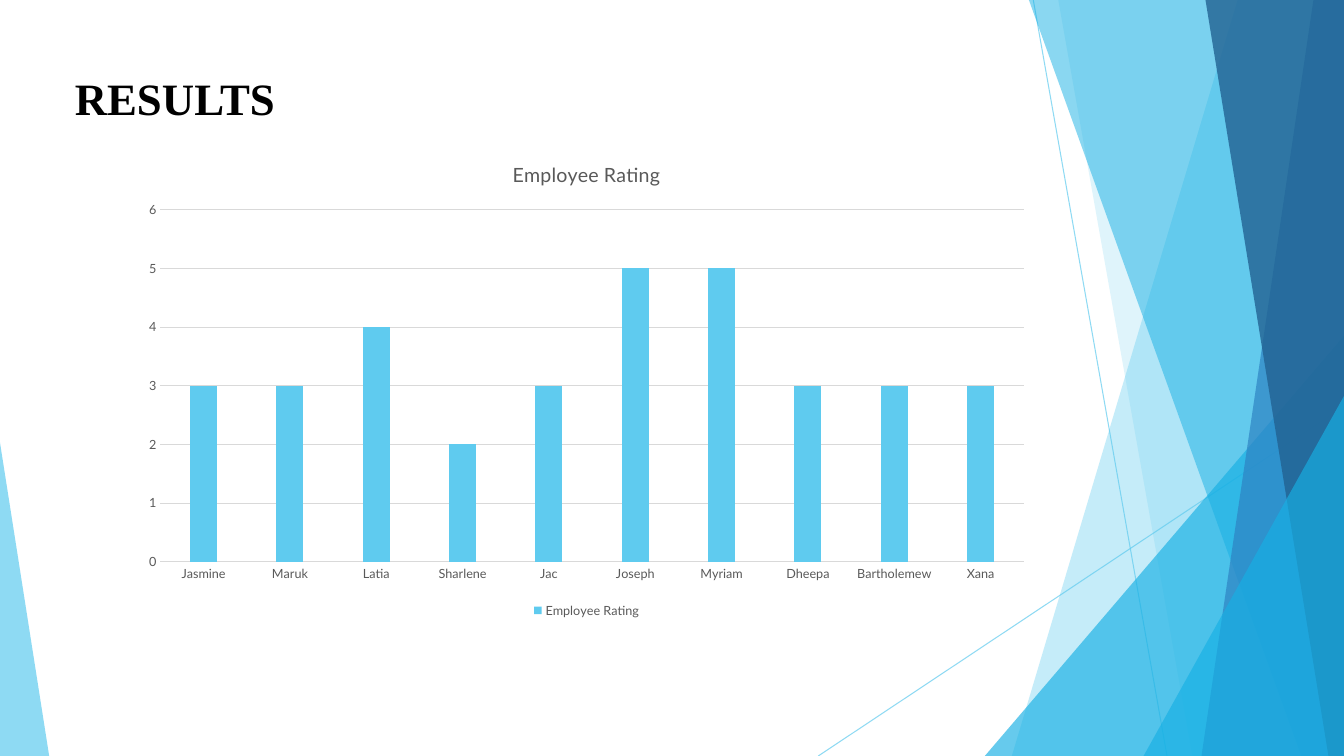
import pptx
import pptx.chart.data
import pptx.dml.color
import pptx.enum.chart
import pptx.enum.shapes
import pptx.enum.text
import pptx.oxml
import pptx.oxml.ns
import pptx.util

Cm, Pt = pptx.util.Cm, pptx.util.Pt
RGB = pptx.dml.color.RGBColor.from_string
NS = pptx.oxml.ns.nsdecls("a")
COLORS = {"sky": "5FCBEF", "cyan": "17B0E4", "blue": "2E83C3", "navy": "226292",
          "black": "000000", "gray": "595959", "grid": "D9D9D9"}
W, H = 33.87, 19.05


def set_color(fill, name, opacity):
    fill.solid()
    fill.fore_color.rgb = RGB(COLORS[name])
    clr = fill._xPr.find(".//" + pptx.oxml.ns.qn("a:srgbClr"))
    clr.append(pptx.oxml.parse_xml(f'<a:alpha {NS} val="{opacity * 1000}"/>'))


def set_font(font, size, color):
    font.name = "Lato"
    font.size = Pt(size)
    font.bold = False
    font.color.rgb = RGB(COLORS[color])


prs = pptx.Presentation()
prs.slide_width, prs.slide_height = Cm(W), Cm(H)
s = prs.slides.add_slide(prs.slide_layouts[5])

# Thin crossing lines
for x1, y1, x2 in [(26.04, 0, 29.41), (W, 10.24, 20.62)]:
    line = s.shapes.add_connector(pptx.enum.shapes.MSO_CONNECTOR.STRAIGHT,
                                  Cm(x1), Cm(y1), Cm(x2), Cm(H))
    line.line.width = Pt(0.75)
    set_color(line.line.fill, "sky", 70)
    line._element.spPr.append(pptx.oxml.parse_xml(f"<a:effectLst {NS}/>"))

# Facets: bands run to the right edge (top x, bottom x),
# triangles rise from the bottom edge (left, top, width, apex)
facets = [
    ("band", (31.19, 25.5), "sky", 36),
    ("band", (26.67, 30.05), "sky", 20),
    ("triangle", (24.82, 8.46, 9.05, 1), "cyan", 66),
    ("band", (25.93, 32.79), "cyan", 50),
    ("band", (33.1, 30.28), "blue", 70),
    ("band", (30.38, 33.48), "navy", 80),
    ("triangle", (28.82, 9.98, 5.05, 1), "cyan", 66),
    ("triangle", (0, 11.15, 1.24, 0), "sky", 70),
]
for kind, geometry, color, opacity in facets:
    if kind == "band":
        top_x, bottom_x = geometry
        fb = s.shapes.build_freeform(Cm(top_x), Cm(0))
        fb.add_line_segments([(Cm(W), Cm(0)), (Cm(W), Cm(H)), (Cm(bottom_x), Cm(H))])
        sp = fb.convert_to_shape()
    else:
        x, y, w, apex = geometry
        sp = s.shapes.add_shape(pptx.enum.shapes.MSO_SHAPE.ISOSCELES_TRIANGLE,
                                Cm(x), Cm(y), Cm(w), Cm(H - y))
        sp.adjustments[0] = apex
    sp.shadow.inherit = False
    sp.line.fill.background()
    set_color(sp.fill, color, opacity)

# Title
title = s.shapes.title
title.left, title.top, title.width, title.height = Cm(1.63), Cm(1.65), Cm(19.28), Cm(1.63)
tf = title.text_frame
tf.text = "RESULTS"
tf.vertical_anchor = pptx.enum.text.MSO_ANCHOR.MIDDLE
p = tf.paragraphs[0]
p.alignment = pptx.enum.text.PP_ALIGN.LEFT
r = p.runs[0]
r.font.name = "Times New Roman"
r.font.size = Pt(32)
r.font.bold = True
r.font.color.rgb = RGB(COLORS["black"])

# Rating chart
data = pptx.chart.data.CategoryChartData()
data.categories = ["Jasmine", "Maruk", "Latia", "Sharlene", "Jac", "Joseph",
                   "Myriam", "Dheepa", "Bartholemew", "Xana"]
data.add_series("Employee Rating", [3, 3, 4, 2, 3, 5, 5, 3, 3, 3])
chart = s.shapes.add_chart(pptx.enum.chart.XL_CHART_TYPE.COLUMN_CLUSTERED,
                           Cm(3.3), Cm(3.56), Cm(22.96), Cm(12.12), data).chart
set_font(chart.font, 10, "black")

# Clear chart background
clear = pptx.oxml.parse_xml(
    f'<c:spPr {pptx.oxml.ns.nsdecls("c", "a")}><a:noFill/><a:ln><a:noFill/></a:ln></c:spPr>')
chart._chartSpace.find(pptx.oxml.ns.qn("c:txPr")).addprevious(clear)

chart.has_title = True
chart.chart_title.text_frame.text = "Employee Rating"
set_font(chart.chart_title.text_frame.paragraphs[0].runs[0].font, 14, "gray")
chart.chart_title.include_in_layout = False

chart.has_legend = True
chart.legend.position = pptx.enum.chart.XL_LEGEND_POSITION.BOTTOM
chart.legend.include_in_layout = False
set_font(chart.legend.font, 9, "gray")

plot = chart.plots[0]
plot.gap_width = 219
plot.overlap = -27
plot.vary_by_categories = False
plot.series[0].format.fill.solid()
plot.series[0].format.fill.fore_color.rgb = RGB(COLORS["sky"])

# Axes and gridlines
cat, val = chart.category_axis, chart.value_axis
for axis in (cat, val):
    axis.major_tick_mark = axis.minor_tick_mark = pptx.enum.chart.XL_TICK_MARK.NONE
    set_font(axis.tick_labels.font, 9, "gray")
val.minimum_scale, val.maximum_scale, val.major_unit = 0, 6, 1
val.has_major_gridlines = True
val.format.line.fill.background()
for line in (cat.format.line, val.major_gridlines.format.line):
    line.color.rgb = RGB(COLORS["grid"])
    line.width = Pt(0.75)

prs.save("out.pptx")
